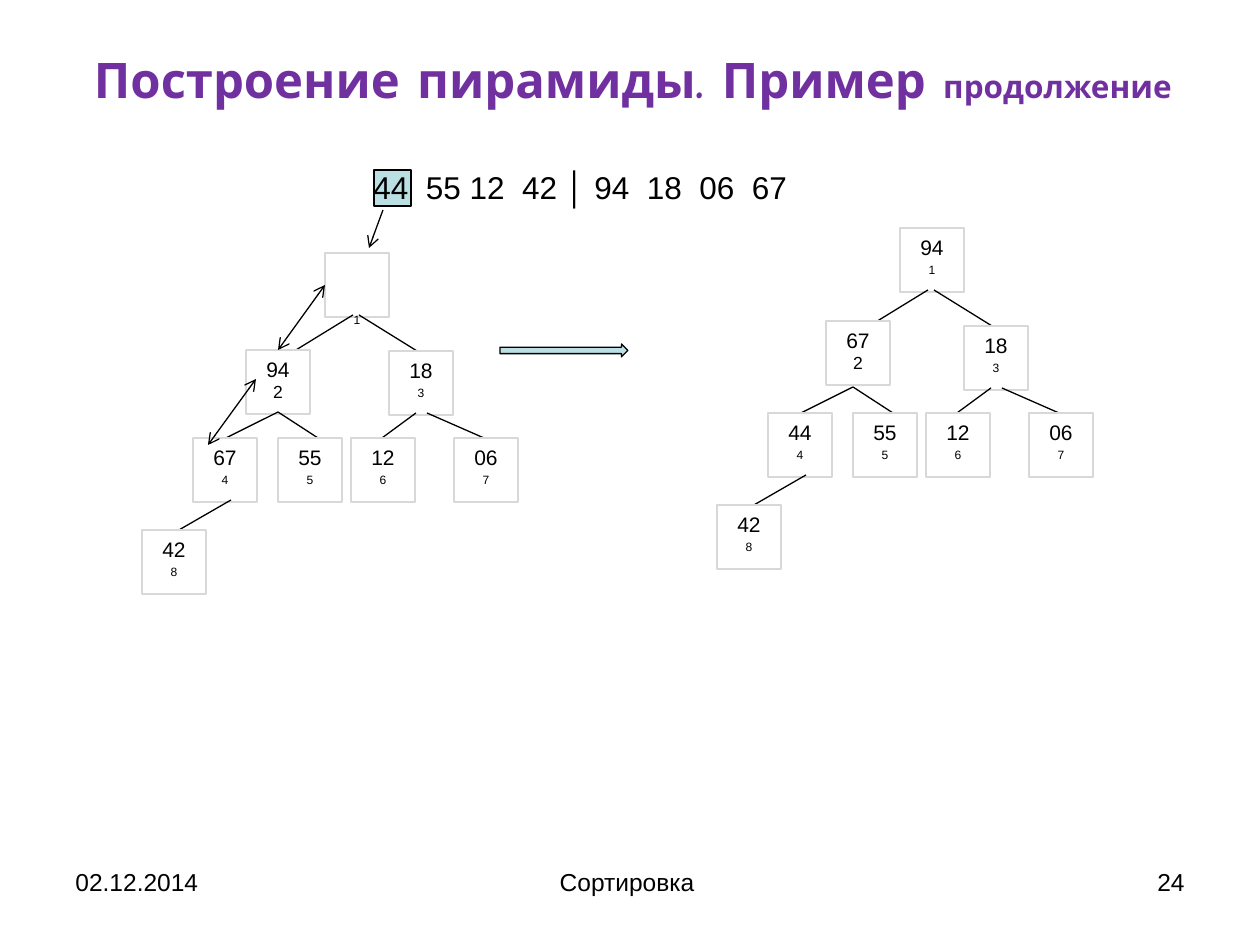
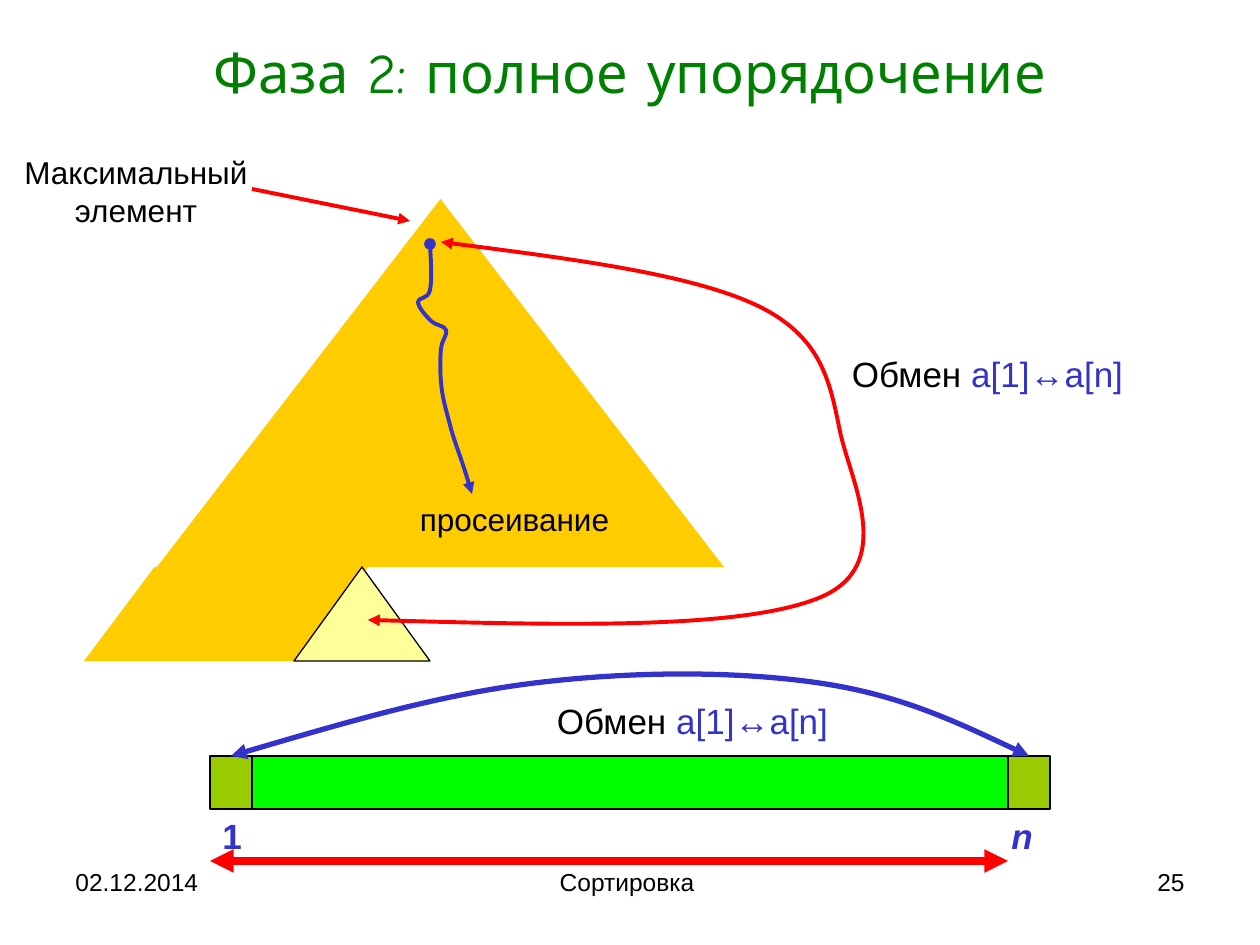
from lxml import etree
from pptx import Presentation
from pptx import util as u
from pptx.dml import color
from pptx.enum import shapes, text
from pptx.oxml import ns

PX = 7257
BLACK, WHITE, GREY, RED, BLUE = "000000", "FFFFFF", "D8D8D8", "FF0000", "3333CC"
GOLD, CREAM, LIME, OLIVE, PALE = "FFCC00", "FFFF99", "00FF00", "99CC00", "BBE0E3"
PURPLE, GREEN = "7030A0", "008000"
THIN, BOLD, THICK, HEAVY = 0.75, 2.25, 3, 4.5
SMALL, NORMAL, LARGE = 12, 18, 20
hue = color.RGBColor.from_string
kind = shapes.MSO_SHAPE
LEFT, MID, RIGHT = text.PP_ALIGN.LEFT, text.PP_ALIGN.CENTER, text.PP_ALIGN.RIGHT


def stroke(item, tint, width=THIN, head=None, tail=None):
    if tint:
        item.line.color.rgb = hue(tint)
        item.line.width = u.Pt(width)
    else:
        item.line.fill.background()
    props = item._element.spPr
    line = props.find(ns.qn("a:ln"))
    for tag, tip in (("a:headEnd", head), ("a:tailEnd", tail)):
        if tip:
            etree.SubElement(line, ns.qn(tag)).set("type", tip)
    etree.SubElement(props, ns.qn("a:effectLst"))


def write(item, words, size, tint=BLACK, align=MID, more="", font="Arial", bold=False):
    frame = item.text_frame
    frame.word_wrap = True
    frame.vertical_anchor = text.MSO_ANCHOR.TOP
    frame.text = words
    if more:
        frame.paragraphs[0].add_run().text = more
    for para in frame.paragraphs:
        para.alignment = align
        for run in para.runs:
            run.font.name = font
            run.font.size = u.Pt(size)
            run.font.bold = bold
            run.font.color.rgb = hue(tint)
    return frame


deck = Presentation()
deck.slide_width, deck.slide_height = u.Inches(10), u.Inches(7.5)
heap, sort = [deck.slides.add_slide(deck.slide_layouts[6]) for _ in range(2)]

for page, num in ((heap, "24"), (sort, "25")):
    for x, wide, words, align in (
        (63, 294, "02.12.2014", LEFT),
        (431, 399, "Сортировка ", MID),
        (903, 294, num, RIGHT),
    ):
        foot = page.shapes.add_textbox(x * PX, 861 * PX, wide * PX, 66 * PX)
        write(foot, words, 14, align=align)

title = heap.shapes.add_textbox(66 * PX, 0, 1134 * PX, 158 * PX)
frame = write(title, "Построение пирамиды. Пример ", 28, PURPLE,
              more="продолжение", font="Comic Neue", bold=True)
frame.vertical_anchor = text.MSO_ANCHOR.MIDDLE
frame.paragraphs[0].runs[-1].font.size = u.Pt(NORMAL)

title = sort.shapes.add_textbox(63 * PX, 31 * PX, 1134 * PX, 105 * PX)
write(title, "Фаза 2: полное упорядочение", 32, GREEN, font="Comic Neue")

BAR, CELL, BODY, TOP, HIGH = 210, 42, 756, 756, 53
END = BAR + CELL + BODY
BASE, DEEP = 567, 94
for page, form, x, y, wide, high, fill, edge in (
    (heap, kind.RECTANGLE, 374, 170, 37, 36, PALE, BLACK),
    (heap, kind.RIGHT_ARROW, 500, 344, 128, 13, PALE, BLACK),
    (sort, kind.ISOSCELES_TRIANGLE, 157, 199, 567, BASE - 199, GOLD, None),
    (sort, kind.PARALLELOGRAM, 84, BASE, 284, DEEP, GOLD, None),
    (sort, kind.ISOSCELES_TRIANGLE, 294, BASE, 136, DEEP, CREAM, BLACK),
    (sort, kind.RECTANGLE, BAR + CELL, TOP, BODY, HIGH, LIME, BLACK),
    (sort, kind.RECTANGLE, BAR, TOP, CELL, HIGH, OLIVE, BLACK),
    (sort, kind.RECTANGLE, END, TOP, CELL, HIGH, OLIVE, BLACK),
):
    part = page.shapes.add_shape(form, x * PX, y * PX, wide * PX, high * PX)
    part.fill.solid()
    part.fill.fore_color.rgb = hue(fill)
    stroke(part, edge)
    if form == kind.PARALLELOGRAM:
        part.adjustments[0] = 0.75

row = heap.shapes.add_textbox(361 * PX, 162 * PX, 447 * PX, 50 * PX)
write(row, "44  55 12  42 │ 94  18  06  67", NORMAL, align=LEFT)

SIDE = 64
DROP = SIDE - 2
spots = {1: (325, 253), 2: (246, 350), 3: (389, 351), 4: (193, 438),
         5: (278, 438), 6: (351, 438), 7: (454, 438), 8: (142, 530)}
leave = {2: 28, 3: 34, 4: 32, 5: 32, 6: 27, 7: 38, 8: 38}
enter = {2: 50, 3: 28, 4: 33, 5: 40, 6: 31, 7: 30, 8: 37}
before = ["", "94", "18", "67", "55", "12", "06", "42"]
after = ["94", "67", "18", "44", "55", "12", "06", "42"]
for keys, dx, dy, nudge in ((before, 0, 0, (0, 0)), (after, 575, -25, (5, -4))):
    for num, key in enumerate(keys, 1):
        x, y = spots[num][0] + dx, spots[num][1] + dy
        if num > 1:
            upx, upy = spots[num // 2]
            link = heap.shapes.add_connector(
                shapes.MSO_CONNECTOR.STRAIGHT,
                (upx + dx + leave[num]) * PX, (upy + dy + DROP) * PX,
                (x + enter[num]) * PX, y * PX)
            stroke(link, BLACK)
        if num == 2:
            x, y = x + nudge[0], y + nudge[1]
        node = heap.shapes.add_shape(kind.RECTANGLE, x * PX, y * PX, SIDE * PX, SIDE * PX)
        node.fill.solid()
        node.fill.fore_color.rgb = hue(WHITE)
        stroke(node, GREY)
        frame = write(node, f"{key}\n{num}" if key else str(num), SMALL)
        if not key:
            frame.margin_top, frame.margin_bottom = 57 * PX, 0
        index = frame.paragraphs[-1].runs[0]
        if num == 2:
            index.font.size = u.Pt(10)
        else:
            index._r.get_or_add_rPr().set("baseline", "30000")

swap = [(441, 242), (756, 305), (840, 431), (819, 598), (368, 620)]
sift = [(430, 244), (430, 290), (418, 302), (431, 321), (446, 330),
        (441, 349), (442, 391), (450, 425), (462, 462), (472, 494)]
arc = [(BAR + CELL // 2, TOP), (535, 683), (819, 683), (END + CELL // 2, TOP)]
for knots, tint, width, head in (
    (swap, RED, BOLD, "triangle"),
    (sift, BLUE, BOLD, "oval"),
    (arc, BLUE, THICK, "triangle"),
):
    slopes = [((right[0] - left[0]) / 6, (right[1] - left[1]) / 6)
              for left, right in zip(knots, knots[2:])]
    inner = list(zip(knots[1:-1], slopes))
    pulls = [(x - sx, y - sy) for (x, y), (sx, sy) in inner]
    pushes = [(x + sx, y + sy) for (x, y), (sx, sy) in inner]
    (x, y), (nextx, nexty) = knots[0], pulls[0]
    first = ((x + nextx) / 2, (y + nexty) / 2)
    (x, y), (lastx, lasty) = knots[-1], pushes[-1]
    final = ((x + lastx) / 2, (y + lasty) / 2)
    dots = []
    for trio in zip([first] + pushes, pulls + [final], knots[1:]):
        dots.extend(trio)

    pen = sort.shapes.build_freeform(*knots[0], scale=PX)
    pen.add_line_segments(dots, close=False)
    curve = pen.convert_to_shape()
    curve.fill.background()
    stroke(curve, tint, width, head, "triangle")
    trace = curve._element.find(".//" + ns.qn("a:path"))
    steps = trace.findall(ns.qn("a:lnTo"))
    for i in range(0, len(steps), 3):
        bend = etree.SubElement(trace, ns.qn("a:cubicBezTo"))
        for step in steps[i:i + 3]:
            bend.append(step[0])
            trace.remove(step)

for page, x, y, endx, endy, tint, width, head, tail in (
    (heap, 383, 210, 369, 248, BLACK, THIN, None, "arrow"),
    (heap, 325, 285, 278, 350, BLACK, THIN, "arrow", "arrow"),
    (heap, 256, 379, 208, 445, BLACK, THIN, "arrow", "arrow"),
    (sort, 252, 189, 410, 221, RED, BOLD, None, "triangle"),
    (sort, BAR, 861, END, 861, RED, HEAVY, "triangle", "triangle"),
):
    arrow = page.shapes.add_connector(
        shapes.MSO_CONNECTOR.STRAIGHT, x * PX, y * PX, endx * PX, endy * PX)
    stroke(arrow, tint, width, head, tail)

for x, y, wide, high, words, more, size, tint in (
    (10, 147, 252, 88, "Максимальный элемент", "", NORMAL, BLACK),
    (399, 494, 231, 50, "просеивание", "", NORMAL, BLACK),
    (809, 346, 357, 55, "Обмен ", "a[1]↔a[n]", LARGE, BLACK),
    (514, 693, 357, 55, "Обмен ", "a[1]↔a[n]", LARGE, BLACK),
    (BAR, 808, CELL, 55, "1", "", LARGE, BLUE),
    (987, 808, 70, 55, "n", "", LARGE, BLUE),
):
    note = sort.shapes.add_textbox(x * PX, y * PX, wide * PX, high * PX)
    frame = write(note, words, size, tint, more=more, bold=tint == BLUE)
    last = frame.paragraphs[0].runs[-1]
    if more:
        last.font.color.rgb = hue(BLUE)
    last.font.italic = words == "n"

deck.save("out.pptx")
